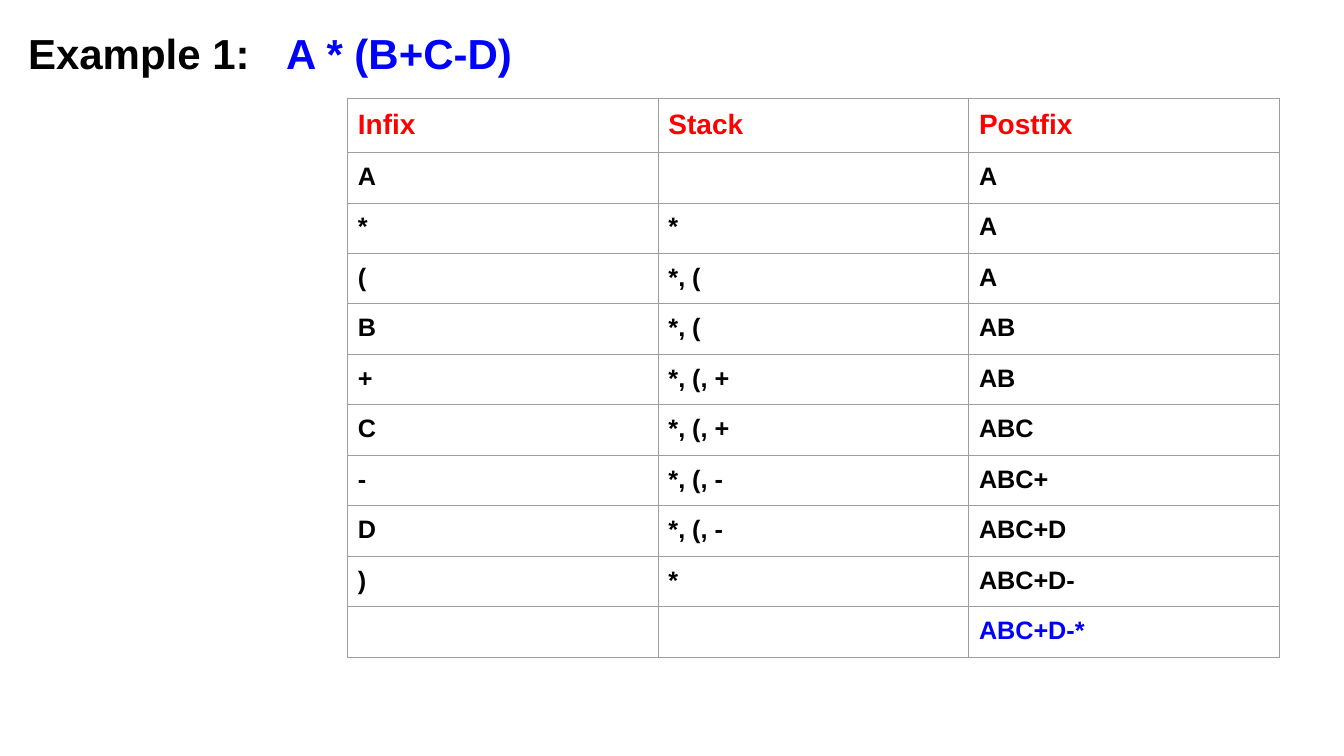
from lxml import etree
from pptx import Presentation
from pptx.dml.color import RGBColor
from pptx.enum.text import MSO_ANCHOR
from pptx.oxml.ns import qn
from pptx.util import Inches, Pt

MIDDLE = MSO_ANCHOR.MIDDLE
COLORS = {"text": "000000", "header": "FF0000", "result": "0000FF", "border": "9E9E9E"}
STEPS = [
    ("Infix", "Stack", "Postfix"),
    ("A", "", "A"),
    ("*", "*", "A"),
    ("(", "*, (", "A"),
    ("B", "*, (", "AB"),
    ("+", "*, (, +", "AB"),
    ("C", "*, (, +", "ABC"),
    ("-", "*, (, -", "ABC+"),
    ("D", "*, (, -", "ABC+D"),
    (")", "*", "ABC+D-"),
    ("", "", "ABC+D-*"),
]
COLUMN_WIDTH, HEADER_HEIGHT, STEP_HEIGHT = Inches(3.08), Inches(0.5), Inches(0.47)
CELL_INSET = Inches(0.1)


def add_bold_run(paragraph, text, size, color):
    run = paragraph.add_run()
    run.text = text
    run.font.name = "Arial"
    run.font.size = Pt(size)
    run.font.bold = True
    run.font.color.rgb = RGBColor.from_string(COLORS[color])


def add_borders(cell):
    properties = cell._tc.get_or_add_tcPr()
    for position, side in enumerate(("a:lnL", "a:lnR", "a:lnT", "a:lnB")):
        line = etree.Element(qn(side), w=str(Pt(0.75)))
        fill = etree.SubElement(line, qn("a:solidFill"))
        etree.SubElement(fill, qn("a:srgbClr"), val=COLORS["border"])
        properties.insert(position, line)


prs = Presentation()
prs.slide_width, prs.slide_height = Inches(13.33), Inches(7.5)
slide = prs.slides.add_slide(prs.slide_layouts[6])

# Heading: the expression is aligned by a tab stop
heading = slide.shapes.add_textbox(
    Inches(0.18), Inches(0.19), Inches(5.75), Inches(0.73)).text_frame
heading.word_wrap = True
heading.vertical_anchor = MIDDLE
heading_line = heading.paragraphs[0]
heading_line.line_spacing = 0.9
tab_stops = etree.SubElement(heading_line._p.get_or_add_pPr(), qn("a:tabLst"))
etree.SubElement(tab_stops, qn("a:tab"), pos=str(Inches(2.56)), algn="l")
add_bold_run(heading_line, "Example 1:\t", 30, "text")
add_bold_run(heading_line, "A * (B+C-D)", 30, "result")

# Conversion steps
row_count, column_count = len(STEPS), len(STEPS[0])
conversion = slide.shapes.add_table(
    row_count, column_count, Inches(3.45), Inches(0.98),
    COLUMN_WIDTH * column_count, HEADER_HEIGHT + STEP_HEIGHT * (row_count - 1)).table
conversion.horz_banding = False
for column in conversion.columns:
    column.width = COLUMN_WIDTH

for row_index, step in enumerate(STEPS):
    is_header = row_index == 0
    conversion.rows[row_index].height = HEADER_HEIGHT if is_header else STEP_HEIGHT
    size = 20 if is_header else 18
    color = "header" if is_header else "result" if row_index == row_count - 1 else "text"
    for column_index, symbols in enumerate(step):
        cell = conversion.cell(row_index, column_index)
        cell.fill.background()
        cell.margin_left = cell.margin_right = CELL_INSET
        cell.margin_top = cell.margin_bottom = CELL_INSET
        add_borders(cell)
        if symbols:
            add_bold_run(cell.text_frame.paragraphs[0], symbols, size, color)

prs.save("out.pptx")
